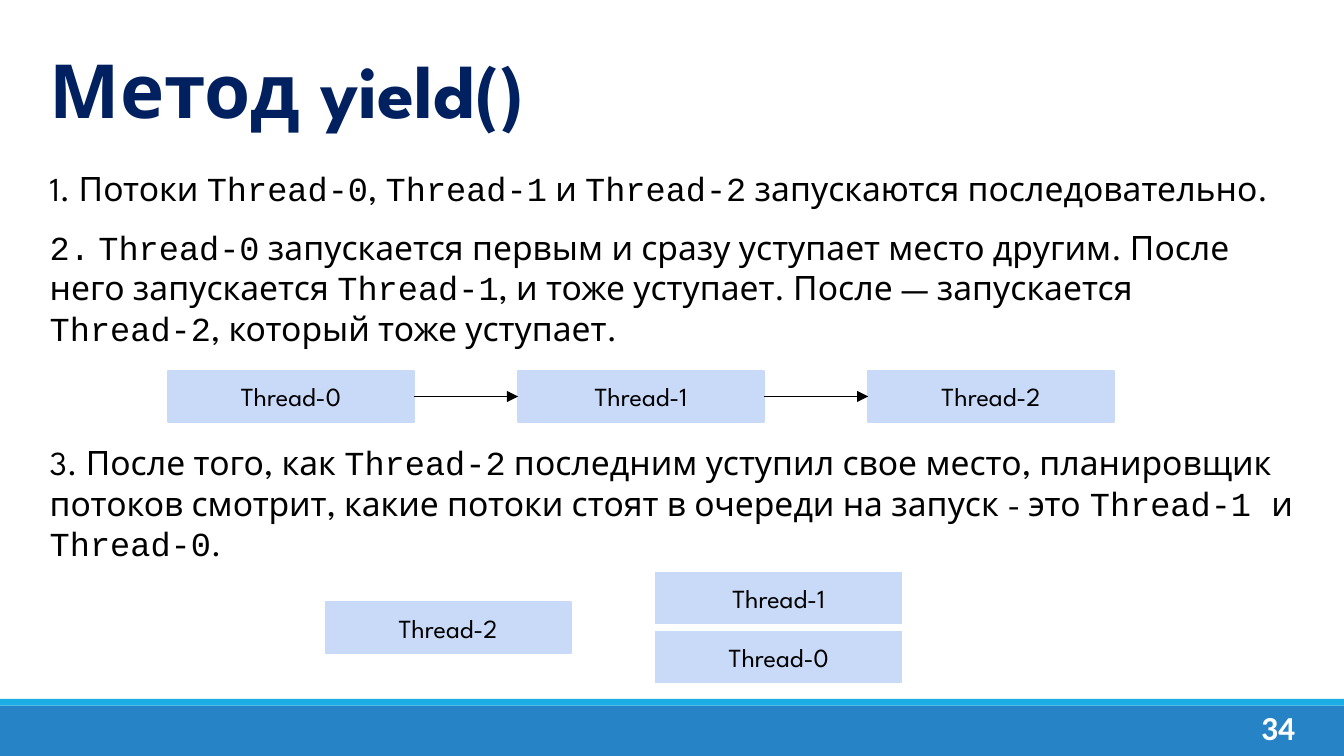
from lxml import etree
from pptx import Presentation
from pptx.dml.color import RGBColor
from pptx.enum.shapes import MSO_CONNECTOR, MSO_SHAPE
from pptx.enum.text import MSO_ANCHOR, MSO_AUTO_SIZE, PP_ALIGN
from pptx.oxml.ns import qn
from pptx.util import Inches, Pt

STRAIGHT = MSO_CONNECTOR.STRAIGHT
RECTANGLE = MSO_SHAPE.RECTANGLE
TOP, MIDDLE = MSO_ANCHOR.TOP, MSO_ANCHOR.MIDDLE
LEFT, CENTER = PP_ALIGN.LEFT, PP_ALIGN.CENTER
NO_AUTOFIT = MSO_AUTO_SIZE.NONE

BLUE = RGBColor(0x26, 0x83, 0xC6)
CYAN = RGBColor(0x1C, 0xAD, 0xE4)
NAVY = RGBColor(0x00, 0x20, 0x60)
PALE_BLUE = RGBColor(0xC9, 0xDA, 0xF8)
BLACK = RGBColor(0, 0, 0)
WHITE = RGBColor(0xFF, 0xFF, 0xFF)

TEXT_FONT, CODE_FONT, NUMBER_FONT = "League Spartan", "Courier New", "Calibri"
TWO_CONTENT_LAYOUT = 3
LEFT_SITE, RIGHT_SITE = 1, 3
BOX_WIDTH, BOX_HEIGHT = 1.83, 0.38
CHAIN_LEFT, CHAIN_SPAN = 1.25, 5.21

# Text between backticks is set in the code font
STEPS_START = [
    "1. Потоки `Thread-0`, `Thread-1` и `Thread-2` запускаются последовательно.",
    "`2.` `Thread-0` запускается первым и сразу уступает место другим. "
    "После него запускается `Thread-1`, и тоже уступает. "
    "После — запускается `Thread-2`, который тоже уступает.",
]
STEPS_END = [
    "3. После того, как `Thread-2` последним уступил свое место, планировщик "
    "потоков смотрит, какие потоки стоят в очереди на запуск - это "
    "`Thread-1 `и `Thread-0`.",
]


class SlideBuilder:
    def __init__(self, slide):
        self.slide = slide

    def place(self, shape, left, top, width, height):
        shape.left, shape.top = Inches(left), Inches(top)
        shape.width, shape.height = Inches(width), Inches(height)

    def frame(self, shape, anchor, vertical_inset):
        frame = shape.text_frame
        frame.word_wrap = True
        frame.auto_size = NO_AUTOFIT
        frame.vertical_anchor = anchor
        frame.margin_left = frame.margin_right = Inches(0.1)
        frame.margin_top = frame.margin_bottom = Inches(vertical_inset)
        return frame

    def run(self, paragraph, text, size, color=BLACK, font=TEXT_FONT, bold=False):
        run = paragraph.add_run()
        run.text = text
        run.font.size = Pt(size)
        run.font.name = font
        run.font.bold = bold
        run.font.color.rgb = color

    def title(self, text, *bounds):
        shape = self.slide.shapes.title
        self.place(shape, *bounds)
        paragraph = self.frame(shape, MIDDLE, 0.05).paragraphs[0]
        paragraph.alignment = LEFT
        self.run(paragraph, text, 40, NAVY, bold=True)

    def body(self, index, texts, *bounds):
        shape = self.slide.placeholders[index]
        self.place(shape, *bounds)
        frame = self.frame(shape, TOP, 0.1)
        for number, text in enumerate(texts):
            paragraph = frame.add_paragraph() if number else frame.paragraphs[0]
            properties = paragraph._p.get_or_add_pPr()
            properties.set("marL", "0")
            properties.set("indent", "0")
            etree.SubElement(properties, qn("a:buNone"))
            paragraph.alignment = LEFT
            paragraph.space_before = Pt(10 if number else 0)
            for part, piece in enumerate(text.split("`")):
                if piece:
                    font = CODE_FONT if part % 2 else TEXT_FONT
                    self.run(paragraph, piece, 18, font=font)

    def rectangle(self, color, *bounds):
        shape = self.slide.shapes.add_shape(RECTANGLE, *map(Inches, bounds))
        shape.shadow.inherit = False
        shape.fill.solid()
        shape.fill.fore_color.rgb = color
        shape.line.fill.background()
        return shape

    def thread_box(self, name, left, top):
        shape = self.rectangle(PALE_BLUE, left, top, BOX_WIDTH, BOX_HEIGHT)
        shape.line.color.rgb = PALE_BLUE
        shape.line.width = Pt(0.75)
        paragraph = self.frame(shape, MIDDLE, 0.1).paragraphs[0]
        paragraph.alignment = CENTER
        self.run(paragraph, name, 14)
        return shape

    def arrow(self, source, target):
        connector = self.slide.shapes.add_connector(STRAIGHT, 0, 0, 0, 0)
        connector.begin_connect(source, RIGHT_SITE)
        connector.end_connect(target, LEFT_SITE)
        connector.line.color.rgb = BLACK
        connector.line.width = Pt(0.75)
        etree.SubElement(connector.line._get_or_add_ln(), qn("a:tailEnd"), type="triangle")
        etree.SubElement(connector._element.spPr, qn("a:effectLst"))

    def page_number(self, text, *bounds):
        shape = self.slide.shapes.add_textbox(*map(Inches, bounds))
        paragraph = self.frame(shape, TOP, 0.05).paragraphs[0]
        paragraph.alignment = CENTER
        self.run(paragraph, text, 18, WHITE, NUMBER_FONT, bold=True)


def main():
    presentation = Presentation()
    presentation.slide_width = Inches(10)
    presentation.slide_height = Inches(10) * 9 // 16
    layout = presentation.slide_layouts[TWO_CONTENT_LAYOUT]
    builder = SlideBuilder(presentation.slides.add_slide(layout))

    # Footer band
    builder.rectangle(BLUE, 0, 5.25, 10, 0.38)
    builder.rectangle(CYAN, 0, 5.2, 10, 0.05)
    builder.page_number("34", 9.27, 5.21, 0.48, 0.3)

    # Title and steps
    builder.title("Метод yield()", 0.27, 0.12, 9, 1.08)
    builder.body(1, STEPS_START, 0.27, 1.15, 9.48, 1.55)
    builder.body(2, STEPS_END, 0.27, 3.19, 9.48, 1.11)

    # Threads yielding one after another
    chain = [
        builder.thread_box(f"Thread-{i}", CHAIN_LEFT + CHAIN_SPAN * i / 2, 2.76)
        for i in range(3)
    ]
    for source, target in zip(chain, chain[1:]):
        builder.arrow(source, target)

    # Last thread and the queue
    builder.thread_box("Thread-2", 2.42, 4.48)
    for row, name in enumerate(("Thread-1", "Thread-0")):
        builder.thread_box(name, 4.88, 4.26 + 0.44 * row)

    presentation.save("out.pptx")


if __name__ == "__main__":
    main()
